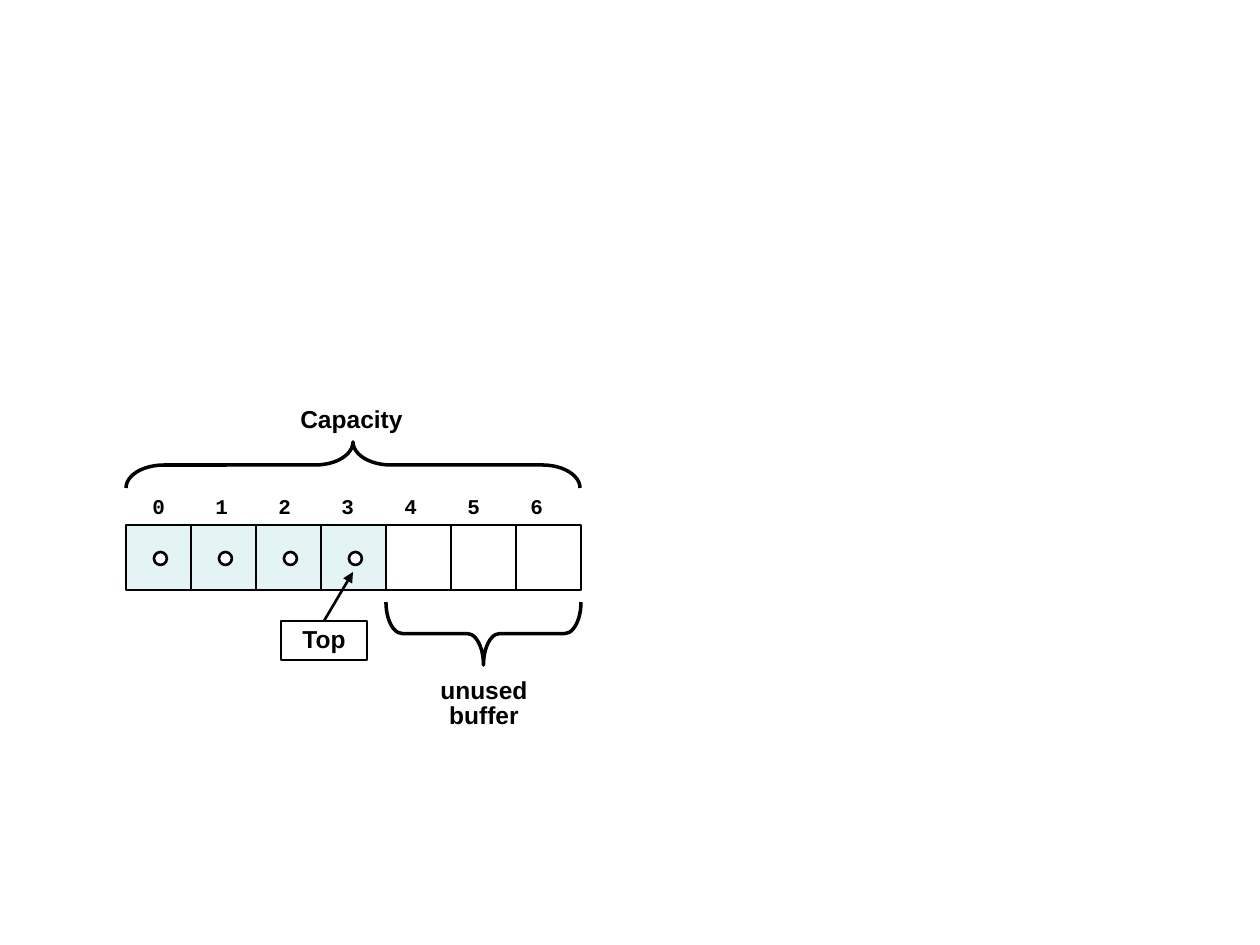
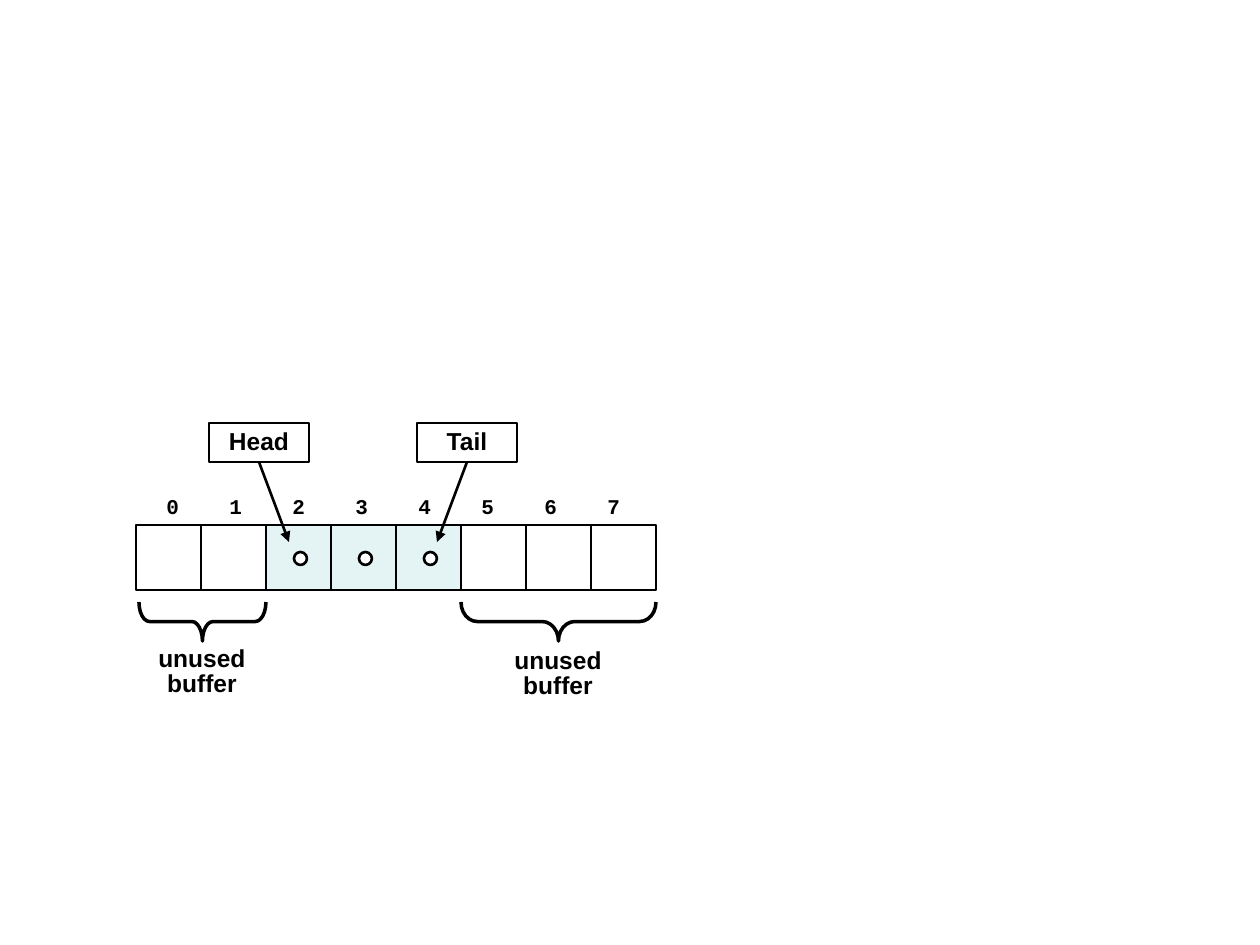
from dataclasses import dataclass

from lxml import etree
from pptx import Presentation
from pptx import util as u
from pptx.dml.color import RGBColor
from pptx.enum import shapes, text
from pptx.oxml.ns import qn

PX = 914400 / 126  # EMU in one px


@dataclass(frozen=True)
class Theme:
    ink: RGBColor = RGBColor(0x00, 0x00, 0x00)
    empty: RGBColor = RGBColor(0xFF, 0xFF, 0xFF)
    used: RGBColor = RGBColor(0xE4, 0xF3, 0xF4)
    label_font: str = "Arial"
    index_font: str = "Courier New"
    label_size: int = 14
    index_size: int = 12
    outline: float = 1.5
    brace_line: float = 2


@dataclass(frozen=True)
class Array:
    left: int
    cells: int
    used: range
    index_left: int
    index_width: int


@dataclass(frozen=True)
class Pointer:
    name: str
    left: int
    top: int
    width: int
    side: int  # connection site the arrow leaves from
    target: tuple[int, int]


@dataclass(frozen=True)
class Brace:
    left: int
    top: int
    length: int
    depth: int
    rotation: int  # 90 points up, 270 points down


@dataclass(frozen=True)
class Label:
    lines: tuple[str, ...]
    left: int
    top: int
    width: int
    height: int


@dataclass(frozen=True)
class Diagram:
    array: Array
    pointers: tuple[Pointer, ...]
    braces: tuple[Brace, ...]
    labels: tuple[Label, ...]


THEME = Theme()
CELL, CELL_TOP = 65, 525
DOT, DOT_DX, DOT_DY = 13, 28, 27
POINTER_HEIGHT = 39
INDEX_TOP, INDEX_HEIGHT, INDEX_STEP = 487, 38, 63
UNUSED_TOP = 602
UNUSED = ("unused", "buffer")

STACK = Diagram(
    Array(left=126, cells=7, used=range(0, 4), index_left=140, index_width=421),
    (Pointer("Top", 281, 621, 86, 0, (353, 572)),),
    (Brace(126, 442, 454, 46, 90), Brace(386, UNUSED_TOP, 195, 63, 270)),
    (Label(("Capacity",), 288, 402, 127, 38), Label(UNUSED, 428, 673, 112, 63)),
)
QUEUE = Diagram(
    Array(left=136, cells=8, used=range(2, 5), index_left=154, index_width=500),
    (Pointer("Head", 209, 423, 100, 2, (289, 542)),
     Pointer("Tail", 417, 423, 100, 2, (437, 542))),
    (Brace(461, UNUSED_TOP, 195, 39, 270), Brace(139, UNUSED_TOP, 127, 39, 270)),
    (Label(UNUSED, 502, 643, 112, 63), Label(UNUSED, 146, 641, 112, 63)),
)


def emu(*lengths: float) -> list[int]:
    return [round(length * PX) for length in lengths]


def add_figure(slide, kind, left, top, width, height, fill=None, weight=THEME.outline):
    figure = slide.shapes.add_shape(kind, *emu(left, top, width, height))
    figure.shadow.inherit = False
    if fill is None:
        figure.fill.background()
    else:
        figure.fill.solid()
        figure.fill.fore_color.rgb = fill
    figure.line.color.rgb = THEME.ink
    figure.line.width = u.Pt(weight)
    return figure


def add_bold_run(paragraph, words: str, font: str, size: int) -> None:
    run = paragraph.add_run()
    run.text = words
    run.font.name = font
    run.font.size = u.Pt(size)
    run.font.bold = True
    run.font.color.rgb = THEME.ink


def draw_cells(slide, array: Array) -> None:
    for i in range(array.cells):
        add_figure(slide, shapes.MSO_SHAPE.FLOWCHART_PROCESS,
                   array.left + i * CELL, CELL_TOP, CELL, CELL,
                   THEME.used if i in array.used else THEME.empty)


def draw_dots(slide, array: Array) -> None:
    for i in array.used:
        add_figure(slide, shapes.MSO_SHAPE.OVAL, array.left + i * CELL + DOT_DX,
                   CELL_TOP + DOT_DY, DOT, DOT, THEME.empty)


def draw_indices(slide, array: Array) -> None:
    box = slide.shapes.add_textbox(
        *emu(array.index_left, INDEX_TOP, array.index_width, INDEX_HEIGHT))
    box.text_frame.word_wrap = True
    paragraph = box.text_frame.paragraphs[0]
    # One tab stop for each index after the first
    stops = etree.SubElement(paragraph._p.get_or_add_pPr(), qn("a:tabLst"))
    for i in range(1, array.cells):
        stop = etree.SubElement(stops, qn("a:tab"))
        stop.set("pos", str(emu(i * INDEX_STEP)[0]))
        stop.set("algn", "l")
    indices = "\t".join(str(i) for i in range(array.cells))
    add_bold_run(paragraph, indices, THEME.index_font, THEME.index_size)


def draw_pointer(slide, pointer: Pointer) -> None:
    box = add_figure(slide, shapes.MSO_SHAPE.RECTANGLE, pointer.left, pointer.top,
                     pointer.width, POINTER_HEIGHT, THEME.empty)
    frame = box.text_frame
    frame.margin_top, frame.margin_bottom = emu(0, 1)
    frame.vertical_anchor = text.MSO_ANCHOR.TOP
    paragraph = frame.paragraphs[0]
    paragraph.alignment = text.PP_ALIGN.CENTER
    paragraph.line_spacing = 1.1
    add_bold_run(paragraph, pointer.name, THEME.label_font, THEME.label_size)

    # Arrow from the box to its cell
    arrow = slide.shapes.add_connector(
        shapes.MSO_CONNECTOR.STRAIGHT, 0, 0, *emu(*pointer.target))
    arrow.begin_connect(box, pointer.side)
    arrow.line.color.rgb = THEME.ink
    arrow.line.width = u.Pt(THEME.outline)
    etree.SubElement(arrow.line._get_or_add_ln(), qn("a:tailEnd")).set("type", "triangle")
    etree.SubElement(arrow._element.spPr, qn("a:effectLst"))


def draw_brace(slide, brace: Brace) -> None:
    # The shape stands upright before it turns about its centre
    shift = (brace.length - brace.depth) / 2
    figure = add_figure(slide, shapes.MSO_SHAPE.LEFT_BRACE, brace.left + shift,
                        brace.top - shift, brace.depth, brace.length,
                        weight=THEME.brace_line)
    figure.adjustments[0] = brace.length / (12 * brace.depth)
    figure.rotation = brace.rotation


def draw_label(slide, label: Label) -> None:
    box = slide.shapes.add_textbox(*emu(label.left, label.top, label.width, label.height))
    frame = box.text_frame
    frame.word_wrap = True
    frame.margin_left = frame.margin_right = 0
    for i, line in enumerate(label.lines):
        paragraph = frame.add_paragraph() if i else frame.paragraphs[0]
        paragraph.alignment = text.PP_ALIGN.CENTER
        paragraph.line_spacing = 0.85
        add_bold_run(paragraph, line, THEME.label_font, THEME.label_size)


def draw_diagram(slide, diagram: Diagram) -> None:
    draw_cells(slide, diagram.array)
    for pointer in diagram.pointers:
        draw_pointer(slide, pointer)
    draw_dots(slide, diagram.array)
    draw_indices(slide, diagram.array)
    for brace in diagram.braces:
        draw_brace(slide, brace)
    for label in diagram.labels:
        draw_label(slide, label)


def main() -> None:
    deck = Presentation()
    deck.slide_width, deck.slide_height = emu(1260, 945)
    blank = deck.slide_layouts[6]
    for diagram in (STACK, QUEUE):
        draw_diagram(deck.slides.add_slide(blank), diagram)
    deck.save("out.pptx")


if __name__ == "__main__":
    main()
